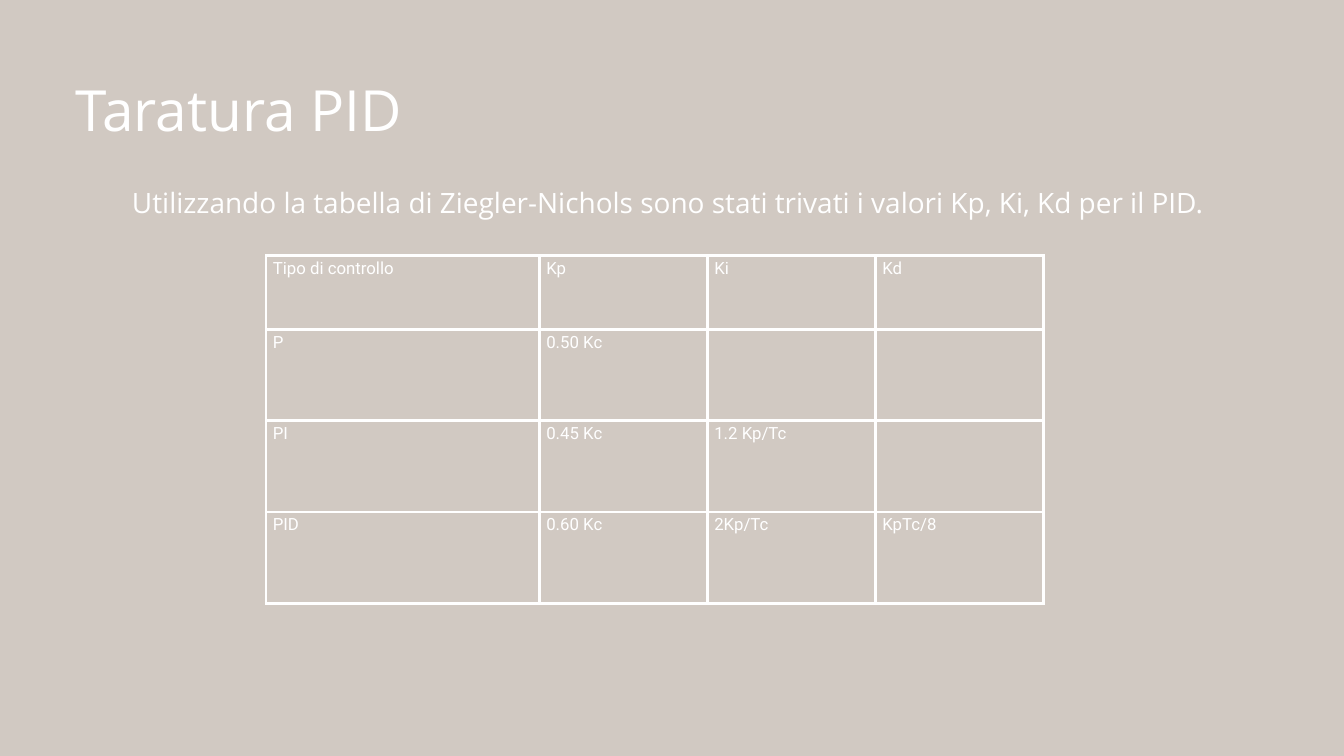
from lxml import etree
from pptx import Presentation
from pptx.dml.color import RGBColor
from pptx.enum.text import MSO_AUTO_SIZE, PP_ALIGN
from pptx.oxml.ns import qn
from pptx.util import Inches, Pt

LEFT, CENTER = PP_ALIGN.LEFT, PP_ALIGN.CENTER
GROW = MSO_AUTO_SIZE.SHAPE_TO_FIT_TEXT
WHITE, BACKGROUND = "FFFFFF", "D1C9C2"

COLUMN_WIDTHS = [4.07, 2.5, 2.5, 2.5]
ROW_HEIGHTS = [1.1, 1.36, 1.36, 1.36]
TUNING_RULES = [
    ["Tipo di controllo", "Kp", "Ki", "Kd"],
    ["P", "0.50 Kc", "", ""],
    ["PI", "0.45 Kc", "1.2 Kp/Tc", ""],
    ["PID", "0.60 Kc", "2Kp/Tc", "KpTc/8"],
]


def color(value):
    return RGBColor.from_string(value)


def set_attributes(target, values):
    for name, value in values.items():
        setattr(target, name, value)


def write_text(para, text, font_name, size):
    span = para.add_run()
    span.text = text
    set_attributes(span.font, {"name": font_name, "size": Pt(size)})
    span.font.color.rgb = color(WHITE)


def add_text(page, position, text, size, line_spacing, alignment=LEFT):
    box = page.shapes.add_textbox(*map(Inches, position))
    set_attributes(box.text_frame, {
        "word_wrap": True, "auto_size": GROW,
        "margin_left": 0, "margin_top": 0,
        "margin_right": 0, "margin_bottom": 0,
    })
    para = box.text_frame.paragraphs[0]
    set_attributes(para, {"alignment": alignment,
                          "line_spacing": Pt(line_spacing)})
    write_text(para, text, "Open Sans", size)


def set_borders(cell, value, width):
    """Draw all four cell borders; they must come before the cell's fill."""
    properties = cell._tc.get_or_add_tcPr()
    for index, side in enumerate(("a:lnL", "a:lnR", "a:lnT", "a:lnB")):
        line = etree.Element(qn(side), w=str(Pt(width)))
        fill = etree.SubElement(line, qn("a:solidFill"))
        etree.SubElement(fill, qn("a:srgbClr"), val=value)
        properties.insert(index, line)


def add_table(page, left, top, rows):
    frame = page.shapes.add_table(
        len(rows), len(COLUMN_WIDTHS), Inches(left), Inches(top),
        Inches(sum(COLUMN_WIDTHS)), Inches(sum(ROW_HEIGHTS)))
    table = frame.table
    set_attributes(table, {"first_row": False, "horz_banding": False})
    for column, width in zip(table.columns, COLUMN_WIDTHS):
        column.width = Inches(width)
    for row, height, texts in zip(table.rows, ROW_HEIGHTS, rows):
        row.height = Inches(height)
        for cell, text in zip(row.cells, texts):
            cell.fill.background()
            set_borders(cell, WHITE, 3)
            if text:
                write_text(cell.text_frame.paragraphs[0], text, "Roboto", 18)


def main():
    deck = Presentation()
    set_attributes(deck, {"slide_width": Inches(20),
                          "slide_height": Inches(11.25)})
    page = deck.slides.add_slide(deck.slide_layouts[6])
    page.background.fill.solid()
    page.background.fill.fore_color.rgb = color(BACKGROUND)

    add_table(page, 3.96, 3.8, TUNING_RULES)
    add_text(page, (1.12, 1.12, 14.03, 1.01), "Taratura PID", 60.8, 72.9)
    add_text(page, (1.56, 2.67, 16.88, 0.56),
             "Utilizzando la tabella di Ziegler-Nichols sono stati trivati "
             "i valori Kp, Ki, Kd per il PID. ", 30, 42, CENTER)
    deck.save("out.pptx")


if __name__ == "__main__":
    main()
